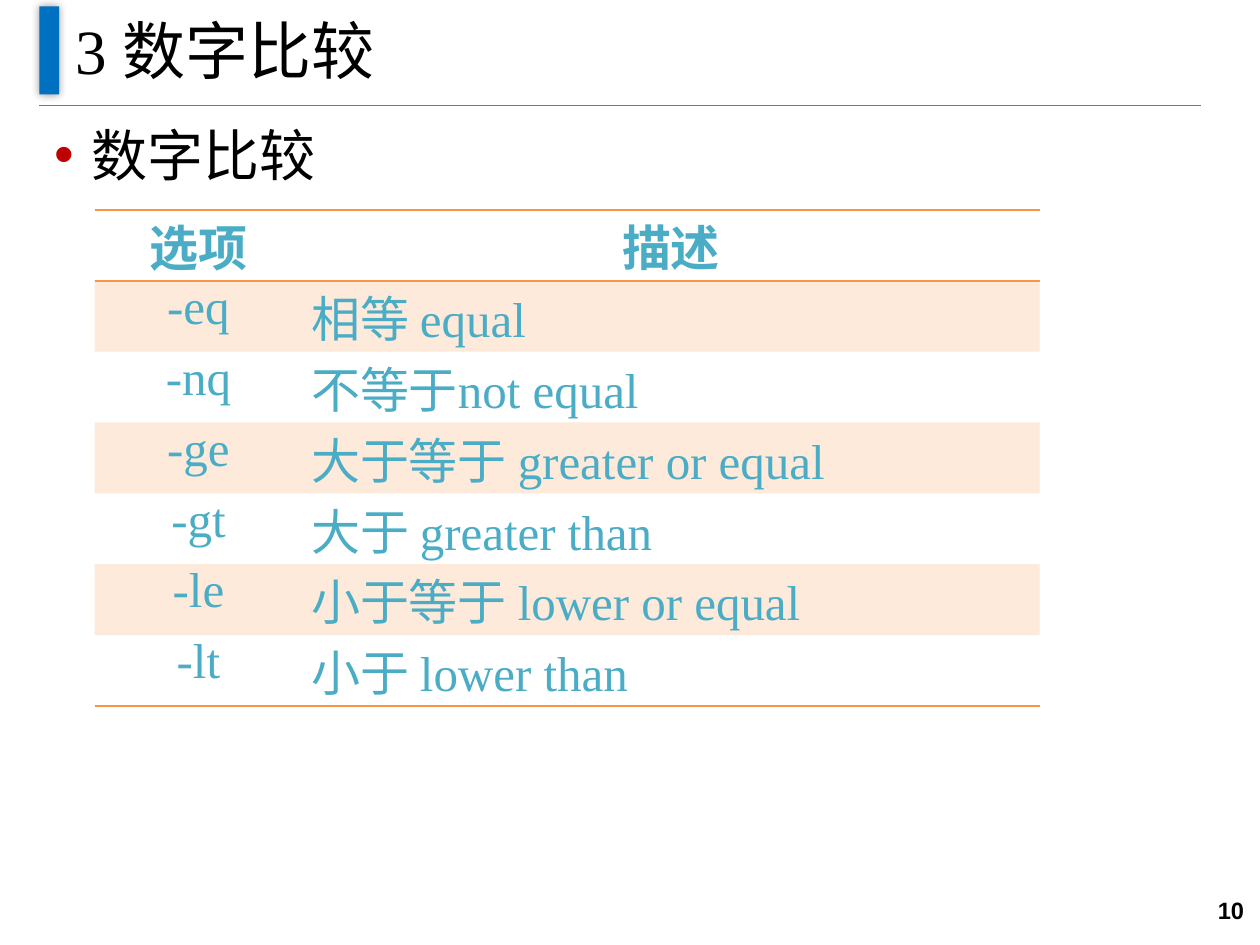
from lxml.etree import SubElement
from pptx import Presentation
from pptx.dml.color import RGBColor
from pptx.enum.shapes import MSO_CONNECTOR, MSO_SHAPE
from pptx.enum.text import MSO_ANCHOR, PP_ALIGN
from pptx.oxml import parse_xml
from pptx.oxml.ns import nsdecls, qn
from pptx.util import Pt

BLACK = RGBColor(0x00, 0x00, 0x00)
BLUE = RGBColor(0x00, 0x70, 0xC0)
RULE_BLUE = RGBColor(0x4B, 0x7E, 0xBC)
TEAL = RGBColor(0x4B, 0xAC, 0xC6)
ORANGE = RGBColor(0xF7, 0x96, 0x46)
RED = RGBColor(0xC0, 0x00, 0x00)
SERIF = "Times New Roman"


def write(frame, text, align, **formats):
    paragraph = frame.paragraphs[0]
    paragraph.alignment = align
    run = paragraph.add_run()
    run.text = text
    color = formats.pop("color")
    for key, value in formats.items():
        setattr(run.font, key, value)
    run.font.color.rgb = color
    return paragraph


def add_text(left, top, width, height, anchor):
    frame = slide.shapes.add_textbox(Pt(left), Pt(top), Pt(width), Pt(height)).text_frame
    frame.word_wrap = True
    frame.vertical_anchor = anchor
    return frame


prs = Presentation()
prs.slide_width, prs.slide_height = Pt(720), Pt(540)
slide = prs.slides.add_slide(prs.slide_layouts[6])

# Rule below the title
rule = slide.shapes.add_connector(MSO_CONNECTOR.STRAIGHT, Pt(22.5), Pt(60.3), Pt(686.2), Pt(60.3))
rule.line.color.rgb = RULE_BLUE
rule.line.width = Pt(0.75)
SubElement(rule._element.spPr, qn("a:effectLst"))

# Blue bar with a soft shadow
bar = slide.shapes.add_shape(MSO_SHAPE.RECTANGLE, Pt(22.5), Pt(3.6), Pt(11.3), Pt(50.4))
bar.fill.solid()
bar.fill.fore_color.rgb = BLUE
bar.line.fill.background()
bar.shadow.inherit = False
bar._element.spPr.find(qn("a:effectLst")).append(parse_xml(
    f'<a:outerShdw {nsdecls("a")} blurRad="{Pt(5)}" dist="0" dir="0">'
    f'<a:srgbClr val="{BLACK}"><a:alpha val="40000"/></a:srgbClr></a:outerShdw>'))

# Title
title = add_text(36, -2.2, 648, 60.5, MSO_ANCHOR.MIDDLE)
write(title, "3 数字比较", PP_ALIGN.LEFT, name=SERIF, size=Pt(36), color=BLACK)

# Slide number
number = add_text(650.9, 500.4, 67, 39.6, MSO_ANCHOR.MIDDLE)
write(number, "10", PP_ALIGN.RIGHT, name="Arial", size=Pt(13.5), bold=True, color=BLACK)

# Bulleted heading
body = add_text(23.8, 65.5, 661, 456.5, MSO_ANCHOR.TOP)
heading = write(body, "数字比较", PP_ALIGN.JUSTIFY, name=SERIF, size=Pt(32), color=BLACK)
heading.space_after = Pt(4.5)
bullet = heading._p.get_or_add_pPr()
bullet.set("marL", str(Pt(21.6)))
bullet.set("indent", str(Pt(-21.6)))
SubElement(SubElement(bullet, qn("a:buClr")), qn("a:srgbClr"), val=str(RED))
SubElement(bullet, qn("a:buFont"), typeface="Arial")
SubElement(bullet, qn("a:buChar"), char="•")

# Table of comparison options
OPTIONS = [
    ("选项", "描述"),
    ("-eq", "相等 equal"),
    ("-nq", "不等于not equal"),
    ("-ge", "大于等于 greater or equal"),
    ("-gt", "大于 greater than"),
    ("-le", "小于等于 lower or equal"),
    ("-lt", "小于 lower than"),
]
ROW_HEIGHT = 40.5
options = slide.shapes.add_table(len(OPTIONS), 2, Pt(54), Pt(120), Pt(540),
                                 Pt(ROW_HEIGHT * len(OPTIONS))).table
options.first_row = options.horz_banding = False
# "No style, no grid"
options._tbl.tblPr.find(qn("a:tableStyleId")).text = "{2D5ABB26-0587-4C30-8999-92F81FD0307C}"
for column, width in zip(options.columns, (118.8, 421.2)):
    column.width = Pt(width)

for row, texts in enumerate(OPTIONS):
    header, last = row == 0, row == len(OPTIONS) - 1
    for col, text in enumerate(texts):
        cell = options.cell(row, col)
        cell.margin_left = cell.margin_right = Pt(5)
        cell.margin_top = cell.margin_bottom = Pt(0)
        align = PP_ALIGN.CENTER if header or col == 0 else PP_ALIGN.JUSTIFY
        write(cell.text_frame, text, align, name=SERIF, size=Pt(28), bold=header, color=TEAL)

        # Lines around the header and below the last row
        properties = cell._tc.get_or_add_tcPr()
        for side, shown in {"lnT": header, "lnB": header or last}.items():
            if shown:
                border = SubElement(properties, qn(f"a:{side}"), w=str(Pt(1)))
                SubElement(SubElement(border, qn("a:solidFill")), qn("a:srgbClr"), val=str(ORANGE))

        # Pale orange on every other row
        if row % 2:
            cell.fill.solid()
            cell.fill.fore_color.rgb = ORANGE
            tint = properties.find(qn("a:solidFill")).find(qn("a:srgbClr"))
            SubElement(tint, qn("a:alpha"), val="20000")
        else:
            cell.fill.background()

prs.save("out.pptx")
